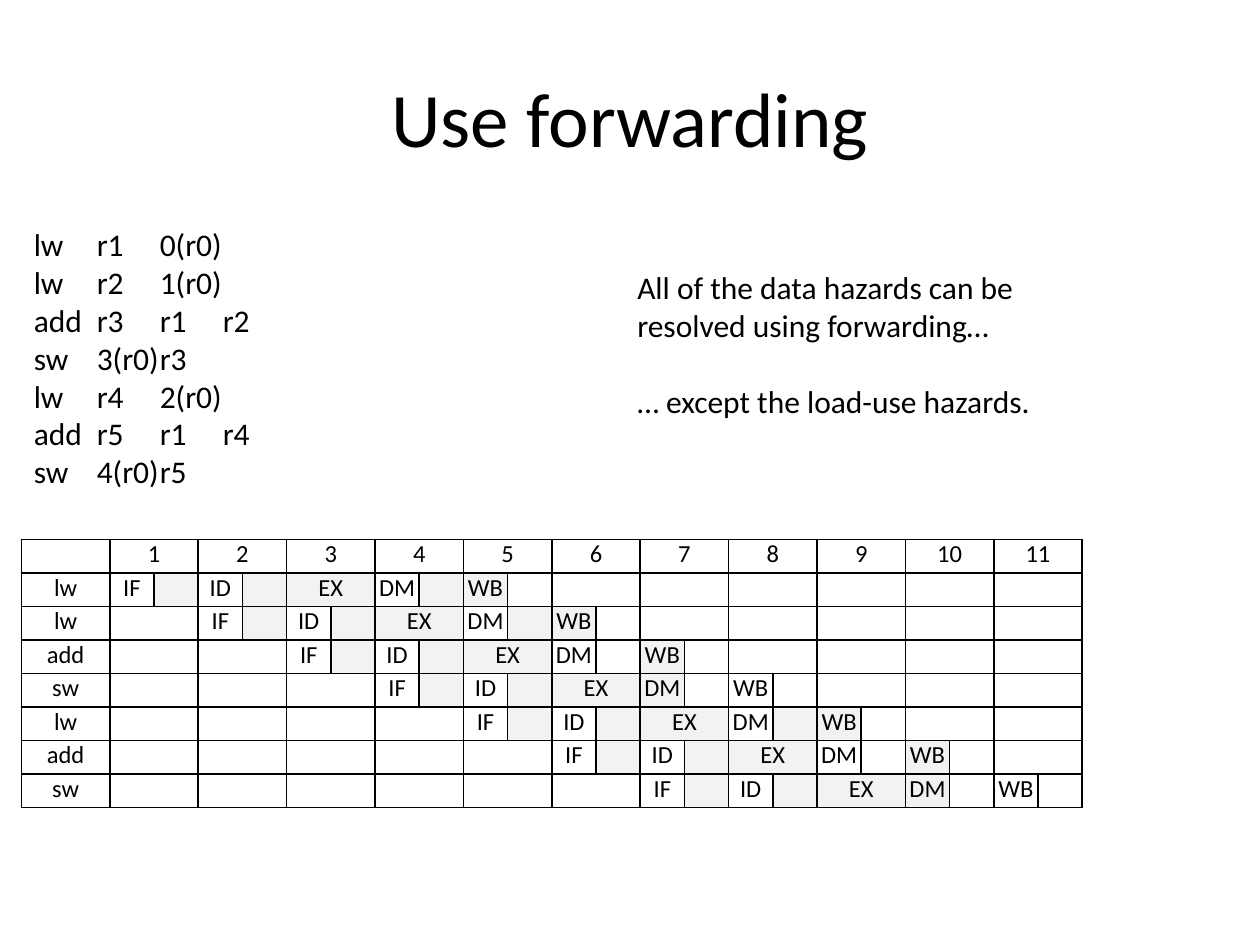
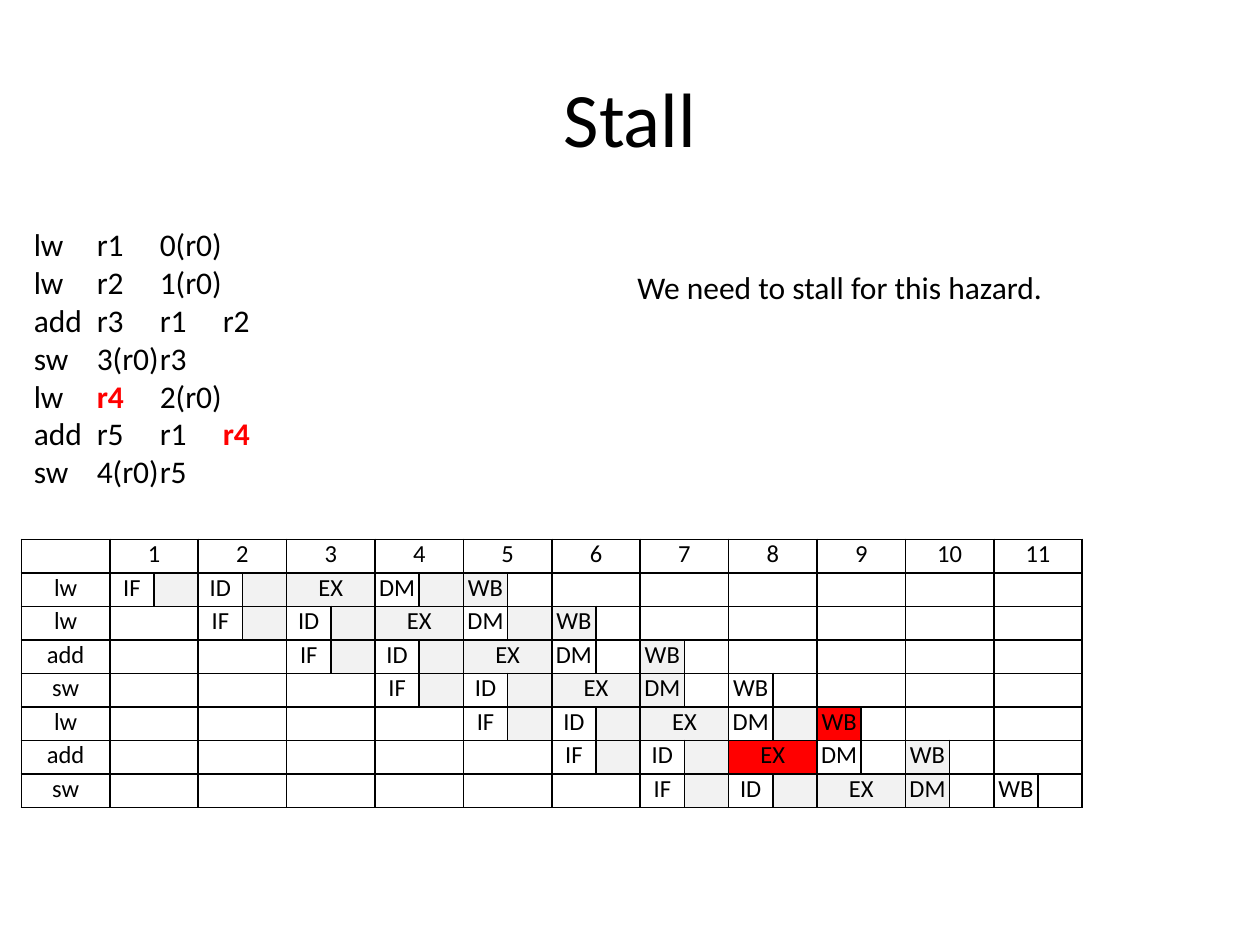
import pptx
import pptx.util
import pptx.dml.color
import pptx.enum.text
from dataclasses import dataclass
from lxml import etree
from pptx.oxml.ns import qn


@dataclass(frozen=True)
class Theme:
    font: str = "Calibri"
    title_size: int = 44
    body_size: int = 18
    cell_size: int = 14
    ink: str = "000000"
    shade: str = "F2F2F2"
    alert: str = "FF0000"


theme = Theme()
Inches, Pt = pptx.util.Inches, pptx.util.Pt
CENTER = pptx.enum.text.PP_ALIGN.CENTER

# Grid: one label column plus eleven clock cycles, each of two halves
LEFT, TABLE_TOP, TABLE_WIDTH, TABLE_HEIGHT = 0.17, 4.28, 8.42, 2.13
CYCLES = 11
HALF = TABLE_WIDTH / (2 * (CYCLES + 1))

PROGRAM = [
    ["lw", "r1", "0(r0)"],
    ["lw", "r2", "1(r0)"],
    ["add", "r3", "r1", "r2"],
    ["sw", "3(r0)", "r3"],
    ["lw", "r4", "2(r0)"],
    ["add", "r5", "r1", "r4"],
    ["sw", "4(r0)", "r5"],
]
ROW_HEIGHT = TABLE_HEIGHT / (len(PROGRAM) + 1)
STAGES = ["IF", "ID", "EX", "DM", "WB"]

# Halves of a cycle in which each stage is shaded (0 first, 1 second)
COMMON_SHADING = {"IF": [1], "ID": [1], "EX": [0]}
SHADING = {
    "lw": COMMON_SHADING | {"DM": [1], "WB": [0]},
    "add": COMMON_SHADING | {"DM": [], "WB": [0]},
    "sw": COMMON_SHADING | {"DM": [0], "WB": []},
}

# Red operands are (line, field); red stages are (line, stage)
SLIDES = [
    {"title": "Use forwarding",
     "notes": ["All of the data hazards can be resolved using forwarding…",
               "… except the load-use hazards."],
     "note_height": 1.31, "red_operands": [], "red_stages": []},
    {"title": "Stall",
     "notes": ["We need to stall for this hazard."],
     "note_height": 0.4,
     "red_operands": [(4, 1), (5, 3)], "red_stages": [(4, "WB"), (5, "EX")]},
]


def add_run(paragraph, text, size, color=theme.ink, bold=False):
    run = paragraph.add_run()
    run.text = text
    run.font.name = theme.font
    run.font.size = Pt(size)
    run.font.bold = bold
    run.font.color.rgb = pptx.dml.color.RGBColor.from_string(color)


def format_cell(cell, text="", fill=None):
    cell.margin_left = cell.margin_right = cell.margin_top = cell.margin_bottom = 0
    properties = cell._tc.get_or_add_tcPr()
    for side in ("a:lnL", "a:lnR", "a:lnT", "a:lnB"):
        line = etree.SubElement(properties, qn(side), w=str(Pt(1)))
        solid = etree.SubElement(line, qn("a:solidFill"))
        etree.SubElement(solid, qn("a:srgbClr"), val=theme.ink)
    if fill:
        cell.fill.solid()
        cell.fill.fore_color.rgb = pptx.dml.color.RGBColor.from_string(fill)
    else:
        cell.fill.background()
    paragraph = cell.text_frame.paragraphs[0]
    paragraph.alignment = CENTER
    if text:
        add_run(paragraph, text, theme.cell_size)
    else:
        etree.SubElement(paragraph._p, qn("a:endParaRPr"), sz=str(theme.cell_size * 100))


presentation = pptx.Presentation()
presentation.slide_width = Inches(10)
presentation.slide_height = Inches(7.5)

for content in SLIDES:
    slide = presentation.slides.add_slide(presentation.slide_layouts[5])

    # Title
    title = slide.shapes.title
    title.left, title.top = Inches(0.5), Inches(0.3)
    title.width, title.height = Inches(9), Inches(1.25)
    title.text_frame.vertical_anchor = pptx.enum.text.MSO_ANCHOR.MIDDLE
    paragraph = title.text_frame.paragraphs[0]
    paragraph.alignment = CENTER
    add_run(paragraph, content["title"], theme.title_size)

    # Pipeline table: header of cycle numbers
    table = slide.shapes.add_table(
        len(PROGRAM) + 1, 2 * CYCLES + 1, Inches(LEFT), Inches(TABLE_TOP),
        Inches(TABLE_WIDTH), Inches(TABLE_HEIGHT)).table
    table.first_row = table.horz_banding = False
    for index, column in enumerate(table.columns):
        column.width = Inches(HALF if index else 2 * HALF)
    for row in table.rows:
        row.height = Inches(ROW_HEIGHT)
    texts = {(0, 2 * cycle - 1): str(cycle) for cycle in range(1, CYCLES + 1)}
    fills = {}
    split_cycles = set()

    # Each instruction starts one cycle after the one above it
    for line, (operation, *operands) in enumerate(PROGRAM):
        texts[line + 1, 0] = operation
        for step, stage in enumerate(STAGES):
            cycle = line + step
            first_half = 2 * cycle + 1
            texts[line + 1, first_half] = stage
            if stage != "EX":
                split_cycles.add((line + 1, cycle))
            for half in SHADING[operation][stage]:
                fills[line + 1, first_half + half] = theme.shade
            if (line, stage) in content["red_stages"]:
                fills[line + 1, first_half] = theme.alert

    for row in range(len(PROGRAM) + 1):
        for column in range(2 * CYCLES + 1):
            format_cell(table.cell(row, column), texts.get((row, column), ""),
                        fills.get((row, column)))
        for cycle in range(CYCLES):
            if (row, cycle) not in split_cycles:
                first_half = 2 * cycle + 1
                table.cell(row, first_half).merge(table.cell(row, first_half + 1))

    # Program listing, one tab stop per field
    listing = slide.shapes.add_textbox(Inches(LEFT), Inches(1.74), Inches(5), Inches(2.22))
    frame = listing.text_frame
    frame.word_wrap = True
    for line, fields in enumerate(PROGRAM):
        paragraph = frame.add_paragraph() if line else frame.paragraphs[0]
        for position, field in enumerate(fields):
            red = (line, position) in content["red_operands"]
            tab = "\t" if position < len(fields) - 1 else ""
            add_run(paragraph, field + tab, theme.body_size,
                    theme.alert if red else theme.ink, red)

    # Remark beside the listing
    remark = slide.shapes.add_textbox(
        Inches(4.96), Inches(2.08), Inches(3.63), Inches(content["note_height"]))
    frame = remark.text_frame
    frame.word_wrap = True
    for index, note in enumerate(content["notes"]):
        paragraph = frame.add_paragraph() if index else frame.paragraphs[0]
        if index:
            paragraph.space_before = Pt(1.2 * theme.body_size)
        add_run(paragraph, note, theme.body_size)

presentation.save("out.pptx")
